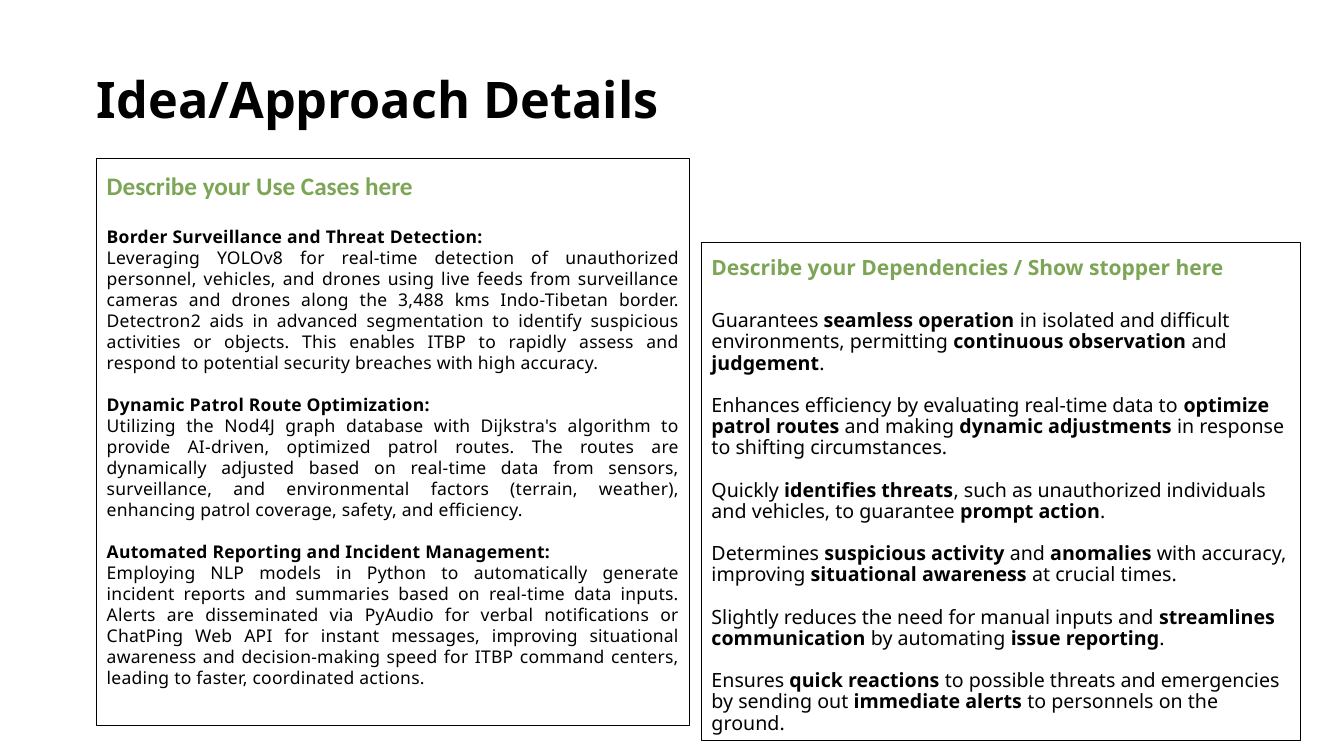
from dataclasses import dataclass

from lxml.etree import SubElement
from pptx import Presentation
from pptx.dml.color import RGBColor
from pptx.enum.text import MSO_ANCHOR as Anchor, MSO_AUTO_SIZE as AutoSize, PP_ALIGN as Align
from pptx.oxml.ns import qn
from pptx.util import Cm, Pt

BLACK, GREEN = "000000", "7CA655"
SANS = "Noto Sans"
SIDE_INSET, EDGE_INSET = 0.25, 0.13


@dataclass
class Style:
    size: float
    font: str = SANS
    color: str = BLACK
    align: Align = Align.LEFT
    line: float = 0.9
    tracking: int = 0


@dataclass
class Panel:
    box: tuple[float, float, float, float]
    heading: str
    heading_width: float
    heading_style: Style
    body_style: Style
    blocks: list[tuple[str, ...]]  # **marks** enclose bold words


PANELS = [
    Panel(
        (2.44, 3.99, 14.94, 14.3),
        "**Describe your Use Cases here**", 13.44,
        Style(18, "Calibri", GREEN),
        Style(12.5, align=Align.JUSTIFY, line=1.0, tracking=20),
        [
            ("**Border Surveillance and Threat Detection:**",
             "Leveraging YOLOv8 for real-time detection of unauthorized personnel, vehicles, and "
             "drones using live feeds from surveillance cameras and drones along the 3,488 kms "
             "Indo-Tibetan border. Detectron2 aids in advanced segmentation to identify suspicious "
             "activities or objects. This enables ITBP to rapidly assess and respond to potential "
             "security breaches with high accuracy."),
            ("**Dynamic Patrol Route Optimization:**",
             "Utilizing the Nod4J graph database with Dijkstra's algorithm to provide AI-driven, "
             "optimized patrol routes. The routes are dynamically adjusted based on real-time data "
             "from sensors, surveillance, and environmental factors (terrain, weather), enhancing "
             "patrol coverage, safety, and efficiency."),
            ("**Automated Reporting and Incident Management:**",
             "Employing NLP models in Python to automatically generate incident reports and "
             "summaries based on real-time data inputs. Alerts are disseminated via PyAudio for "
             "verbal notifications or ChatPing Web API for instant messages, improving situational "
             "awareness and decision-making speed for ITBP command centers, leading to faster, "
             "coordinated actions."),
        ],
    ),
    Panel(
        (17.68, 6.1, 15.09, 12.55),
        "**Describe your Dependencies / Show stopper here**", 14.58,
        Style(15, color=GREEN),
        Style(14),
        [
            ("Guarantees **seamless operation **in isolated and difficult environments, "
             "permitting **continuous observation **and **judgement**.",),
            ("Enhances efficiency by evaluating real-time data to **optimize patrol routes** and "
             "making **dynamic adjustments **in response to shifting circumstances.",),
            ("Quickly **identifies threats**, such as unauthorized individuals and vehicles, "
             "to guarantee **prompt action**.",),
            ("Determines **suspicious activity **and **anomalies** with accuracy, improving "
             "**situational awareness** at crucial times.",),
            ("Slightly reduces the need for manual inputs and **streamlines communication** "
             "by automating **issue reporting**.",),
            ("Ensures **quick reactions **to possible threats and emergencies by sending out "
             "**immediate alerts **to personnels on the ground.",),
        ],
    ),
]


def rgb(color: str) -> RGBColor:
    return RGBColor.from_string(color)


def place(sp, left: float, top: float, width: float, height: float) -> None:
    sp.left, sp.top, sp.width, sp.height = Cm(left), Cm(top), Cm(width), Cm(height)


def set_frame(tf, side: float, top: float, bottom: float, anchor: Anchor = Anchor.TOP) -> None:
    tf.word_wrap, tf.auto_size, tf.vertical_anchor = True, AutoSize.NONE, anchor
    tf.margin_left = tf.margin_right = Cm(side)
    tf.margin_top, tf.margin_bottom = Cm(top), Cm(bottom)


def write(p, text: str, style: Style, before: float = 0) -> None:
    p.alignment, p.line_spacing = style.align, style.line
    p.space_before, p.space_after = Pt(before), Pt(0)
    p_pr = p._p.get_or_add_pPr()
    p_pr.set("marL", "0")
    p_pr.set("indent", "0")
    SubElement(p_pr, qn("a:buNone"))
    for i, part in enumerate(text.split("**")):
        if not part:
            continue
        r = p.add_run()
        r.text = part
        r.font.name, r.font.size, r.font.bold = style.font, Pt(style.size), i % 2 == 1
        r.font.color.rgb = rgb(style.color)
        if style.tracking:
            r._r.get_or_add_rPr().set("spc", str(style.tracking))


def draw_panel(heading, body, panel: Panel) -> None:
    left, top, width, height = panel.box
    style = panel.body_style
    line_height = style.size * 1.2 * style.line

    # Framed body, leaving three lines free for the heading
    place(body, left, top, width, height)
    body.line.color.rgb, body.line.width = rgb(BLACK), Pt(0.75)
    tf = body.text_frame
    set_frame(tf, SIDE_INSET, EDGE_INSET + Pt(3 * line_height).cm, EDGE_INSET)
    p = tf.paragraphs[0]
    for i, block in enumerate(panel.blocks):
        for j, text in enumerate(block):
            if i or j:
                p = tf.add_paragraph()
            write(p, text, style, line_height if i and not j else 0)

    # Heading inside the frame
    place(heading, left, top + 0.25, panel.heading_width, 0.89)
    set_frame(heading.text_frame, SIDE_INSET, EDGE_INSET, EDGE_INSET)
    write(heading.text_frame.paragraphs[0], panel.heading, panel.heading_style)


def main() -> None:
    prs = Presentation()
    prs.slide_width, prs.slide_height = Cm(33.87), Cm(19.05)
    s = prs.slides.add_slide(prs.slide_layouts.get_by_name("Comparison"))
    title, *slots = s.placeholders

    # Title
    place(title, 2.44, 1.57, 14.94, 1.7)
    set_frame(title.text_frame, 0, 0, 0, Anchor.BOTTOM)
    write(title.text_frame.paragraphs[0], "**Idea/Approach Details**", Style(36))

    # Panels, each with a heading slot and a body slot
    for heading, body, panel in zip(slots[::2], slots[1::2], PANELS):
        draw_panel(heading, body, panel)

    prs.save("out.pptx")


if __name__ == "__main__":
    main()
